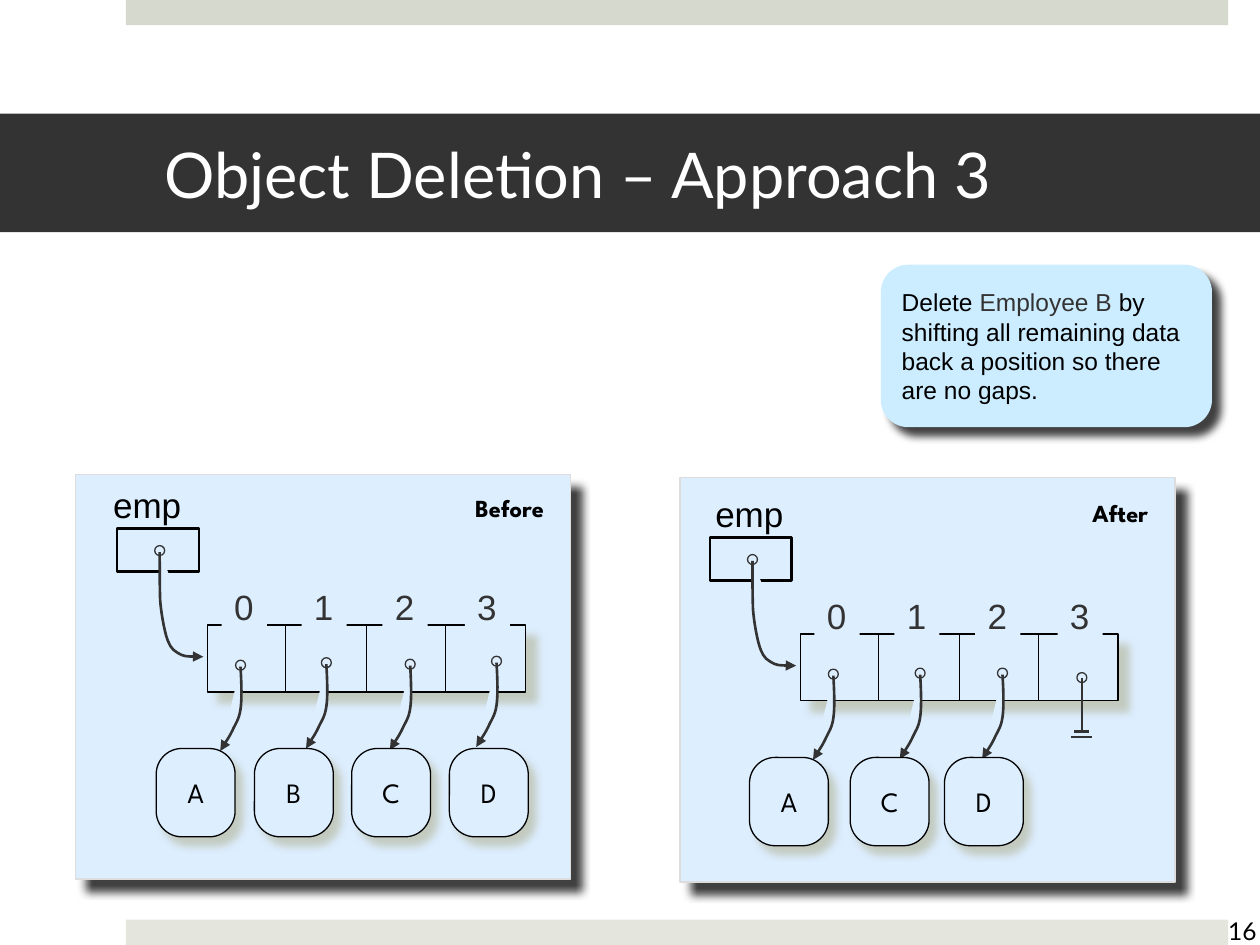
from lxml.etree import SubElement
from pptx import Presentation
from pptx.dml.color import RGBColor
from pptx.enum.shapes import MSO_CONNECTOR as Link, MSO_SHAPE as Preset
from pptx.enum.text import MSO_ANCHOR as Anchor, MSO_AUTO_SIZE as Fit, PP_ALIGN as Align
from pptx.oxml.ns import qn
from pptx.util import Cm, Pt

COLORS = {
    "black": "000000", "dark": "333333", "white": "FFFFFF",
    "panel": "DDEEFF", "panel_edge": "DDDDDD", "note": "CCECFF",
    "top_bar": "D6D9CD", "bottom_bar": "E4E6DE", "soft_shadow": "BBC0AC",
}

INDEX_TEXT = {"size": Pt(20), "name": "Arial"}
NOTE_TEXT = {"size": Pt(14), "name": "Arial"}
OBJECT_TEXT = {"size": Pt(16), "name": "League Spartan"}
CAPTION_TEXT = {"size": Pt(14), "name": "League Spartan", "bold": True}
TITLE_TEXT = {"size": Pt(36), "name": "Lato"}
NUMBER_TEXT = {"size": Pt(14), "name": "Lato"}

# Bezier points in cm from the start of the arrow: two controls and an end per segment.
EMP_CURVE = [
    (0, 0.33), (0, 0.69), (0.01, 0.97),
    (0.03, 1.22), (0.08, 1.5), (0.13, 1.68),
    (0.18, 1.85), (0.23, 1.96), (0.36, 2.03),
    (0.48, 2.11), (0.69, 2.11), (0.88, 2.11),
]
SLOT_CURVE = [
    (0.02, 0.33), (0.03, 0.66), (0, 0.86),
    (-0.03, 1.07), (-0.1, 1.14), (-0.17, 1.3),
    (-0.23, 1.42), (-0.32, 1.55), (-0.41, 1.7),
]
INDEX_LEFTS = (0.28, 1.89, 3.52, 5.18)

# Panel offsets are from its corner; dots and objects are from the array corner.
PANELS = [
    {"corner": (1.52, 9.57), "array": (2.67, 3.03),
     "emp_label": (-2.16, 2.92), "caption": ("Before", 7.81, 0.24, 2.16),
     "dots": [(0.56, 0.71), (2.29, 0.66), (3.98, 0.69), (5.72, 0.63)],
     "objects": [("A", -1.04), ("B", 0.94), ("C", 2.9), ("D", 4.87)]},
    {"corner": (13.71, 9.63), "array": (2.43, 3.15),
     "emp_label": (-1.97, 1.96), "caption": ("After", 8.06, 0.28, 1.75),
     "dots": [(0.56, 0.71), (2.31, 0.69), (3.97, 0.69), (5.57, 0.78)],
     "objects": [("A", -1.03), ("C", 1), ("D", 2.9)]},
]


def rgb(color):
    return RGBColor.from_string(COLORS[color])


def paint(shape, fill, line=None, weight=0.75):
    shape.shadow.inherit = False
    shape.fill.solid()
    shape.fill.fore_color.rgb = rgb(fill)
    if line:
        shape.line.color.rgb = rgb(line)
        shape.line.width = Pt(weight)
    else:
        shape.line.fill.background()


def add_box(shapes, preset, box, fill, line=None, weight=0.75):
    shape = shapes.add_shape(preset, *map(Cm, box))
    paint(shape, fill, line, weight)
    return shape


def drop_shadow(shape, color, distance, angle):
    effects = shape._element.spPr.find(qn("a:effectLst"))
    shadow = SubElement(effects, qn("a:outerShdw"), blurRad=str(Pt(5)),
                        dist=str(Pt(distance)), dir=str(angle * 60000),
                        algn="ctr", rotWithShape="0")
    tint = SubElement(shadow, qn("a:srgbClr"), val=COLORS[color])
    SubElement(tint, qn("a:alpha"), val="75000")


def write(shape, spans, text_format, align=Align.LEFT, **frame_format):
    """Fill the first paragraph with (text, color) spans."""
    frame = shape.text_frame
    for name, value in frame_format.items():
        setattr(frame, name, value)
    para = frame.paragraphs[0]
    para.alignment = align
    for text, color in spans:
        span = para.add_run()
        span.text = text
        span.font.color.rgb = rgb(color)
        for name, value in text_format.items():
            setattr(span.font, name, value)


def add_line(shapes, start, end, color, weight=0.75):
    line = shapes.add_connector(Link.STRAIGHT, *map(Cm, start + end))
    line.line.color.rgb = rgb(color)
    line.line.width = Pt(weight)
    SubElement(line._element.spPr, qn("a:effectLst"))
    return line


def add_curved_arrow(shapes, left, top, curve):
    """Lay the points as line segments, then join each three into a Bezier."""
    builder = shapes.build_freeform(Cm(left), Cm(top))
    builder.add_line_segments([(Cm(left + x), Cm(top + y)) for x, y in curve], close=False)
    arrow = builder.convert_to_shape()
    paint(arrow, "panel", "dark", 1.5)
    properties = arrow._element.spPr
    outline = next(properties.iter(qn("a:path")))
    segments = outline.findall(qn("a:lnTo"))
    for first in range(0, len(segments), 3):
        bezier = SubElement(outline, qn("a:cubicBezTo"))
        for segment in segments[first:first + 3]:
            bezier.append(segment[0])
            outline.remove(segment)
    SubElement(properties.find(qn("a:ln")), qn("a:tailEnd"), type="triangle")


def add_dot(shapes, left, top):
    add_box(shapes, Preset.OVAL, (left, top, 0.2, 0.2), "panel", "dark")


def add_array(shapes, left, top, width=6.4, height=1.35):
    array = add_box(shapes, Preset.RECTANGLE, (left, top, width, height), "panel", "black")
    drop_shadow(array, "soft_shadow", 8.5, 45)
    for column in range(3):
        x = left + 1.57 + 1.61 * column
        divider = add_line(shapes, (x, top), (x, top + height), "black")
        if column == 1:
            divider.begin_connect(array, 0)
            divider.end_connect(array, 2)
    for index, x in enumerate(INDEX_LEFTS):
        label = add_box(shapes, Preset.RECTANGLE, (left + x, top - 0.92, 0.91, 1.09), "panel")
        write(label, [(str(index), "dark")], INDEX_TEXT, word_wrap=False,
              auto_size=Fit.SHAPE_TO_FIT_TEXT, vertical_anchor=Anchor.TOP)


def add_emp(shapes, left, top, label_shift, label_width):
    """Add the emp variable with its arrow to the array at left, top."""
    label = add_box(shapes, Preset.RECTANGLE,
                    (left + label_shift, top - 2.97, label_width, 1.09), "panel")
    write(label, [("emp", "black")], INDEX_TEXT, word_wrap=True,
          auto_size=Fit.SHAPE_TO_FIT_TEXT, vertical_anchor=Anchor.TOP)
    add_box(shapes, Preset.RECTANGLE, (left - 1.83, top - 1.95, 1.65, 0.87),
            "panel", "black", 1.5)
    add_dot(shapes, left - 1.07, top - 1.6)
    add_curved_arrow(shapes, left - 0.97, top - 1.47, EMP_CURVE)


def add_object(shapes, left, top, letter):
    item = add_box(shapes, Preset.ROUNDED_RECTANGLE, (left, top, 1.59, 1.78), "panel", "black")
    item.adjustments[0] = 0.325
    drop_shadow(item, "soft_shadow", 6.4, 51)
    write(item, [(letter, "black")], OBJECT_TEXT, Align.CENTER,
          word_wrap=False, vertical_anchor=Anchor.MIDDLE)


def add_null(shapes, left, top):
    """Add the grounded line of an empty slot whose dot is at left, top."""
    for x1, y1, x2, y2 in ((0.1, 0.1, 0.1, 1.22), (-0.05, 1.19, 0.25, 1.19),
                           (-0.13, 1.3, 0.3, 1.3)):
        add_line(shapes, (left + x1, top + y1), (left + x2, top + y2), "dark", 1.5)


def add_panel(page, panel):
    left, top = panel["corner"]
    shapes = page.shapes.add_group_shape().shapes
    back = add_box(shapes, Preset.RECTANGLE, (left, top, 9.98, 8.15), "panel", "panel_edge")
    drop_shadow(back, "black", 9.2, 49)

    array_left, array_top = left + panel["array"][0], top + panel["array"][1]
    add_array(shapes, array_left, array_top)
    add_emp(shapes, array_left, array_top, *panel["emp_label"])
    for slot, (x, y) in enumerate(panel["dots"]):
        x, y = array_left + x, array_top + y
        add_dot(shapes, x, y)
        if slot < len(panel["objects"]):
            add_curved_arrow(shapes, x + 0.1, y + 0.13, SLOT_CURVE)
        else:
            add_null(shapes, x, y)
    for letter, x in panel["objects"]:
        add_object(shapes, array_left + x, array_top + 2.49, letter)

    text, x, y, width = panel["caption"]
    caption = page.shapes.add_textbox(*map(Cm, (left + x, top + y, width, 0.84)))
    write(caption, [(text, "black")], CAPTION_TEXT, word_wrap=False,
          auto_size=Fit.SHAPE_TO_FIT_TEXT)


def add_frame(page):
    """Add the title band, the edge bars and the page number."""
    for top, color in ((0, "top_bar"), (18.54, "bottom_bar")):
        add_box(page.shapes, Preset.RECTANGLE, (2.54, top, 22.22, 0.51), color)
    number = page.shapes.add_textbox(*map(Cm, (24.41, 18.25, 1.27, 1.02)))
    write(number, [("16", "black")], NUMBER_TEXT, Align.CENTER,
          word_wrap=True, vertical_anchor=Anchor.MIDDLE)
    title = page.shapes.title
    for side, value in zip(("left", "top", "width", "height"), (0, 2.29, 25.4, 2.39)):
        setattr(title, side, Cm(value))
    title.fill.solid()
    title.fill.fore_color.rgb = rgb("dark")
    write(title, [("Object Deletion – Approach 3", "white")], TITLE_TEXT,
          margin_left=Cm(3.31), margin_right=Cm(0.76), vertical_anchor=Anchor.MIDDLE)


def add_note(page, box):
    note = add_box(page.shapes, Preset.ROUNDED_RECTANGLE, box, "note", "note")
    drop_shadow(note, "black", 7.1, 45)
    write(note, [("Delete ", "black"), ("Employee B ", "dark"),
                 ("by shifting all remaining data back a position so there are no gaps.", "black")],
          NOTE_TEXT, word_wrap=True, vertical_anchor=Anchor.MIDDLE)


def main():
    deck = Presentation()
    deck.slide_width, deck.slide_height = Cm(25.4), Cm(19.05)
    page = deck.slides.add_slide(deck.slide_layouts[5])
    add_frame(page)
    add_note(page, (17.77, 5.35, 6.65, 3.25))
    for panel in PANELS:
        add_panel(page, panel)
    deck.save("out.pptx")


if __name__ == "__main__":
    main()
